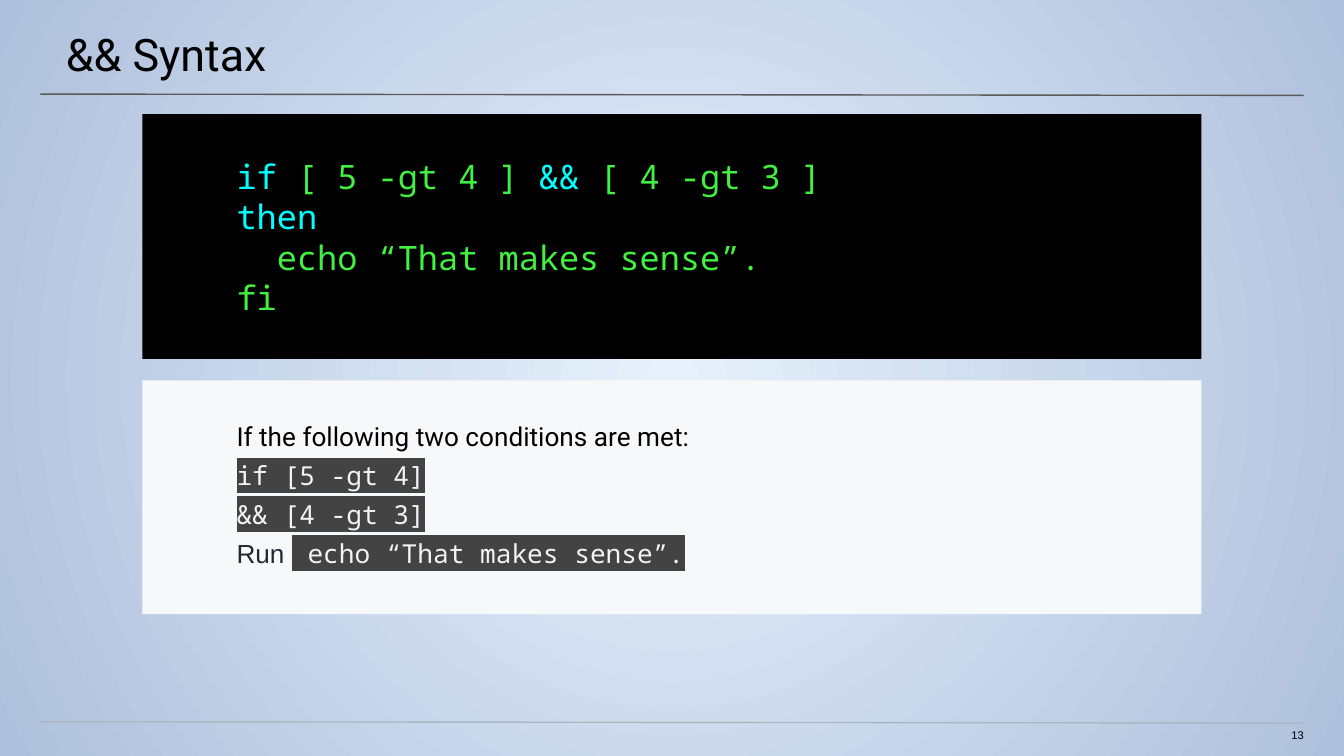
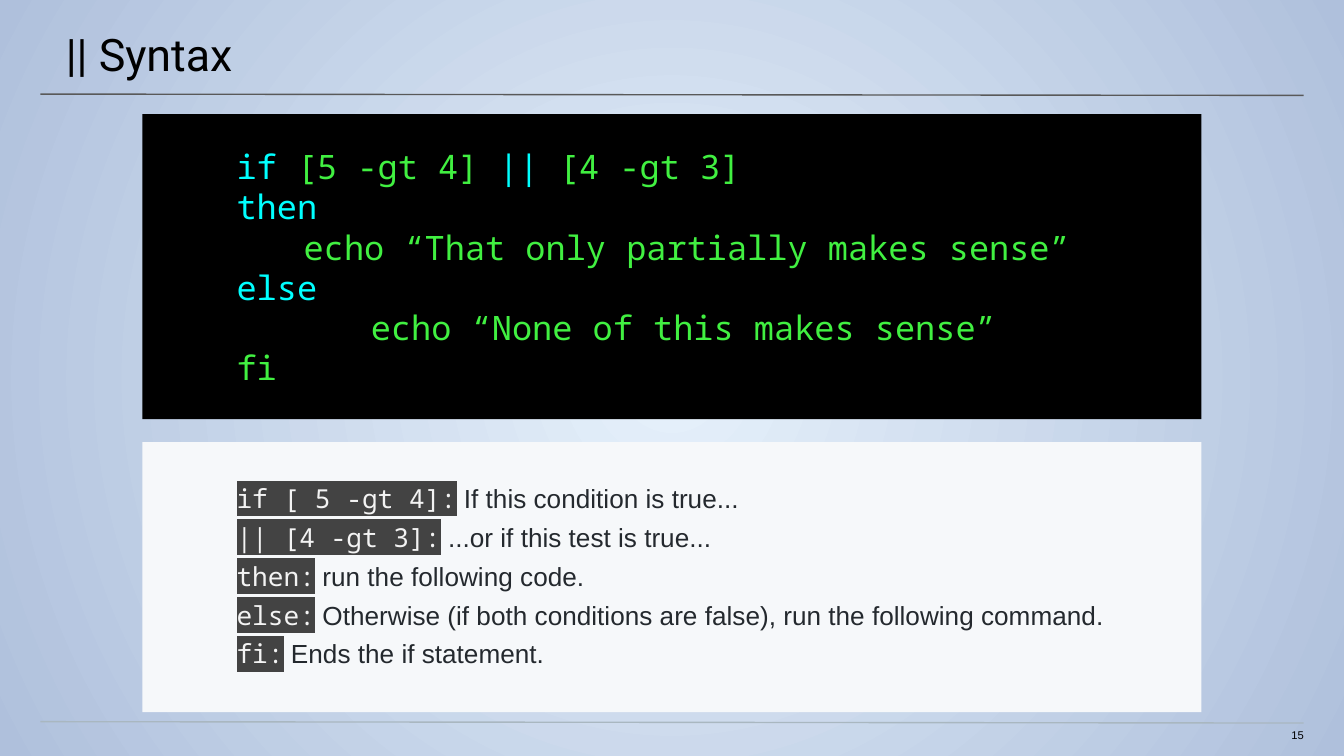
from lxml import etree
from pptx import Presentation
from pptx.dml.color import RGBColor
from pptx.enum.shapes import MSO_CONNECTOR, MSO_SHAPE
from pptx.enum.text import MSO_ANCHOR, PP_ALIGN
from pptx.oxml.ns import qn
from pptx.util import Inches, Pt

LEFT, RIGHT = PP_ALIGN.LEFT, PP_ALIGN.RIGHT
TOP, MIDDLE = MSO_ANCHOR.TOP, MSO_ANCHOR.MIDDLE
RECTANGLE, STRAIGHT = MSO_SHAPE.RECTANGLE, MSO_CONNECTOR.STRAIGHT

COLUMNS, ROWS = 100, 56.25  # square cells, a tenth of an inch each
MARGIN = 3
PANEL_LEFT, PANEL_WIDTH, CODE_TOP = 10.6, 78.8, 8.5
CODE_INSETS = (7, 4, 1, 4)
NOTES_INSETS = (7, 3, 1, 1)

MONO = "Noto Sans Mono"
TITLE = dict(size=24, font="Roboto", color="000000")
PAGE = dict(size=6, font="Arial", color="000000")
KEYWORD = dict(size=18, font=MONO, color="00FFFF")
CODE = dict(size=18, font=MONO, color="41F041")
LEAD = dict(size=14, font="Roboto", color="000000")
PROSE = dict(size=14, font="Arial", color="24292E")
SNIPPET = dict(size=14, font=MONO, color="F3F3F3", highlight="434343")


def cells(count):
    return Inches(count / 10)


def rgb(value):
    return RGBColor.from_string(value)


def add_run(paragraph, text, size, font, color, highlight=None):
    run = paragraph.add_run()
    run.text = text
    run.font.size = Pt(size)
    run.font.name = font
    run.font.color.rgb = rgb(color)
    if highlight:
        marker = etree.Element(qn("a:highlight"))
        etree.SubElement(marker, qn("a:srgbClr"), val=highlight)
        run.font._element.find(qn("a:solidFill")).addnext(marker)


class Deck:
    def __init__(self):
        self.presentation = Presentation()
        self.presentation.slide_width = cells(COLUMNS)
        self.presentation.slide_height = cells(ROWS)
        self.slide = None

    def start_slide(self, title, page):
        """Add a slide with the shared background, rules, title and page number."""
        self.slide = self.presentation.slides.add_slide(self.presentation.slide_layouts[6])
        self.background("E6F1FB", "AFC0DC")
        self.rule(7, "595959")
        self.rule(53.7, "A9B7C0")
        self.text_box((0, 0, COLUMNS, 5.8), [[(title, TITLE)]], (4.9, 2, 3, 1))
        self.text_box((94.1, 54.2, 2.9, 1.2), [[(page, PAGE)]], (0, 0, 0, 1), align=RIGHT)

    def background(self, center, edge):
        """Fill the slide with a gradient that spreads from its middle."""
        fill = self.slide.background.fill
        fill.gradient()
        for stop, color, position in zip(fill.gradient_stops, (center, edge), (0, 1)):
            stop.color.rgb = rgb(color)
            stop.position = position
        linear = next(self.slide._element.iter(qn("a:lin")))
        radial = etree.Element(qn("a:path"), {"path": "circle"})
        etree.SubElement(radial, qn("a:fillToRect"),
                         {side: "50000" for side in "ltrb"})
        linear.getparent().replace(linear, radial)

    def rule(self, row, color):
        line = self.slide.shapes.add_connector(
            STRAIGHT, cells(MARGIN), cells(row), cells(COLUMNS - MARGIN), cells(row + 0.1))
        line.line.color.rgb = rgb(color)
        line.line.width = Pt(0.75)
        etree.SubElement(line._element.spPr, qn("a:effectLst"))

    def text_box(self, place, lines, insets, **layout):
        box = self.slide.shapes.add_textbox(*map(cells, place))
        self.set_lines(box.text_frame, lines, insets, **layout)

    def panel(self, top, height, fill, lines, insets, **layout):
        panel = self.slide.shapes.add_shape(
            RECTANGLE, *map(cells, (PANEL_LEFT, top, PANEL_WIDTH, height)))
        panel.shadow.inherit = False
        panel.fill.solid()
        panel.fill.fore_color.rgb = rgb(fill)
        panel.line.fill.background()
        self.set_lines(panel.text_frame, lines, insets, **layout)

    def code(self, height, lines, indents=None):
        self.panel(CODE_TOP, height, "000000", lines, CODE_INSETS,
                   anchor=MIDDLE, indents=indents)

    def notes(self, top, height, lines):
        self.panel(top, height, "F6F8FA", lines, NOTES_INSETS, gap=4)

    def set_lines(self, frame, lines, insets, align=LEFT, anchor=TOP, gap=0, indents=None):
        """Fill a frame with lines of (text, format) runs; indents maps a line number to cells."""
        frame.word_wrap = True
        frame.vertical_anchor = anchor
        (frame.margin_left, frame.margin_top,
         frame.margin_right, frame.margin_bottom) = map(cells, insets)
        for number, runs in enumerate(lines):
            paragraph = frame.add_paragraph() if number else frame.paragraphs[0]
            paragraph.alignment = align
            if number and gap:
                paragraph.space_before = Pt(gap)
            if indents and number in indents:
                paragraph._p.get_or_add_pPr().set("indent", str(cells(indents[number])))
            for text, style in runs:
                add_run(paragraph, text, **style)


def main():
    deck = Deck()

    deck.start_slide("&& Syntax", "13")
    deck.code(18.2, [
        [("if", KEYWORD), (" [ 5 -gt 4 ] ", CODE), ("&&", KEYWORD), (" [ 4 -gt 3 ]", CODE)],
        [("then", KEYWORD)],
        [("  echo “That makes sense”.", CODE)],
        [("fi", CODE)],
    ])
    deck.notes(28.3, 17.4, [
        [("If the following two conditions are met:", LEAD)],
        [("if [5 -gt 4]", SNIPPET)],
        [("&& [4 -gt 3]", SNIPPET)],
        [("Run ", PROSE), (" echo “That makes sense”.", SNIPPET)],
    ])

    deck.start_slide("|| Syntax", "15")
    deck.code(22.7, [
        [("if", KEYWORD), (" [5 -gt 4] ", CODE), ("||", KEYWORD), (" [4 -gt 3]", CODE)],
        [("then", KEYWORD)],
        [("echo “That only partially makes sense”", CODE)],
        [("else", KEYWORD)],
        [("echo “None of this makes sense”", CODE)],
        [("fi", CODE)],
    ], indents={2: 5, 4: 10})
    explanations = [
        ("if [ 5 -gt 4]:", "If this condition is true..."),
        ("|| [4 -gt 3]:", "...or if this test is true..."),
        ("then:", "run the following code."),
        ("else:", "Otherwise (if both conditions are false), run the following command."),
        ("fi:", "Ends the if statement."),
    ]
    deck.notes(32.9, 20.1, [
        [(snippet, SNIPPET), (f" {meaning}", PROSE)] for snippet, meaning in explanations])

    deck.presentation.save("out.pptx")


if __name__ == "__main__":
    main()
